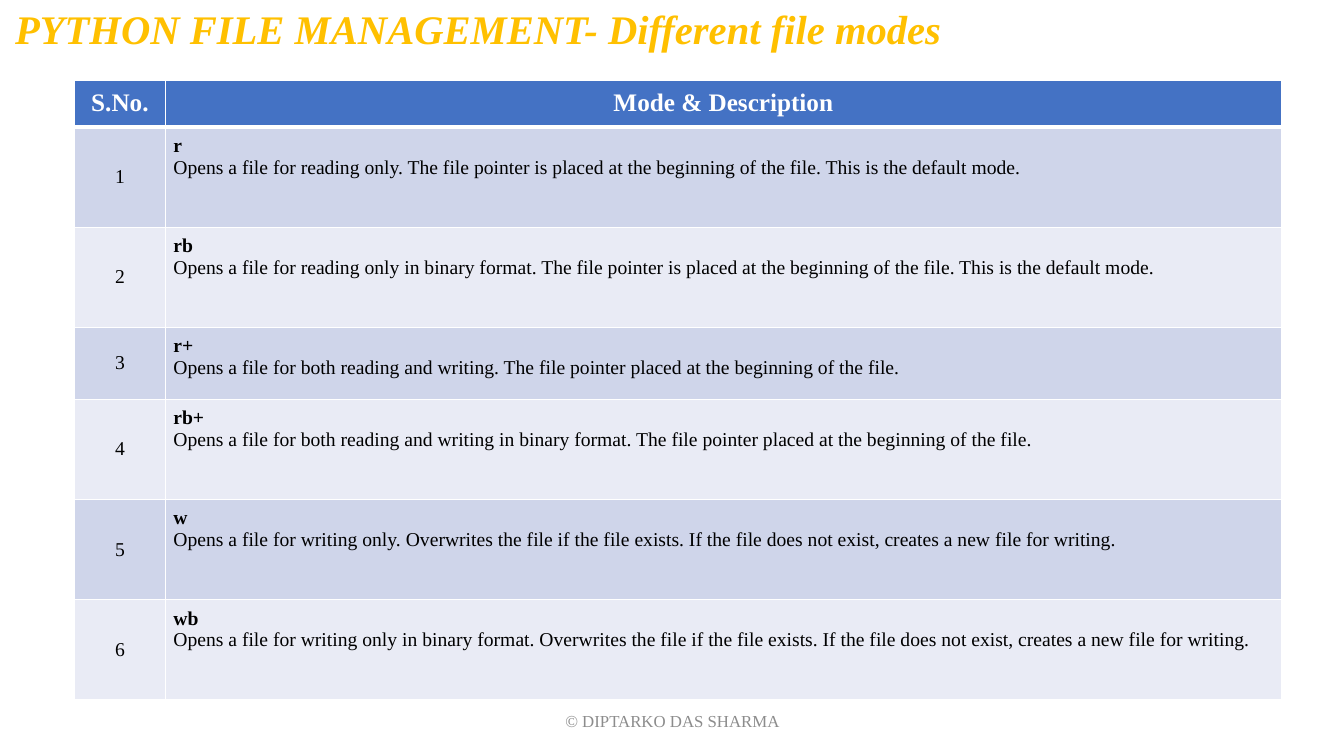
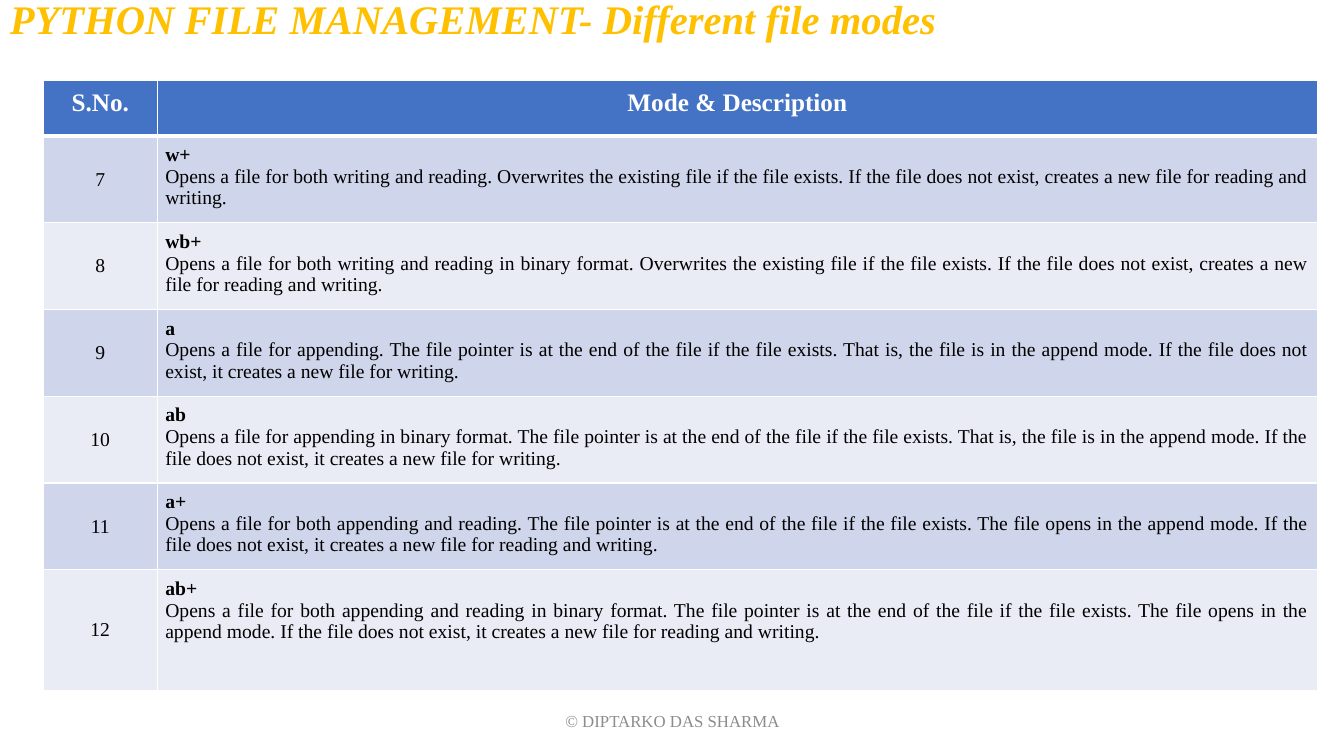
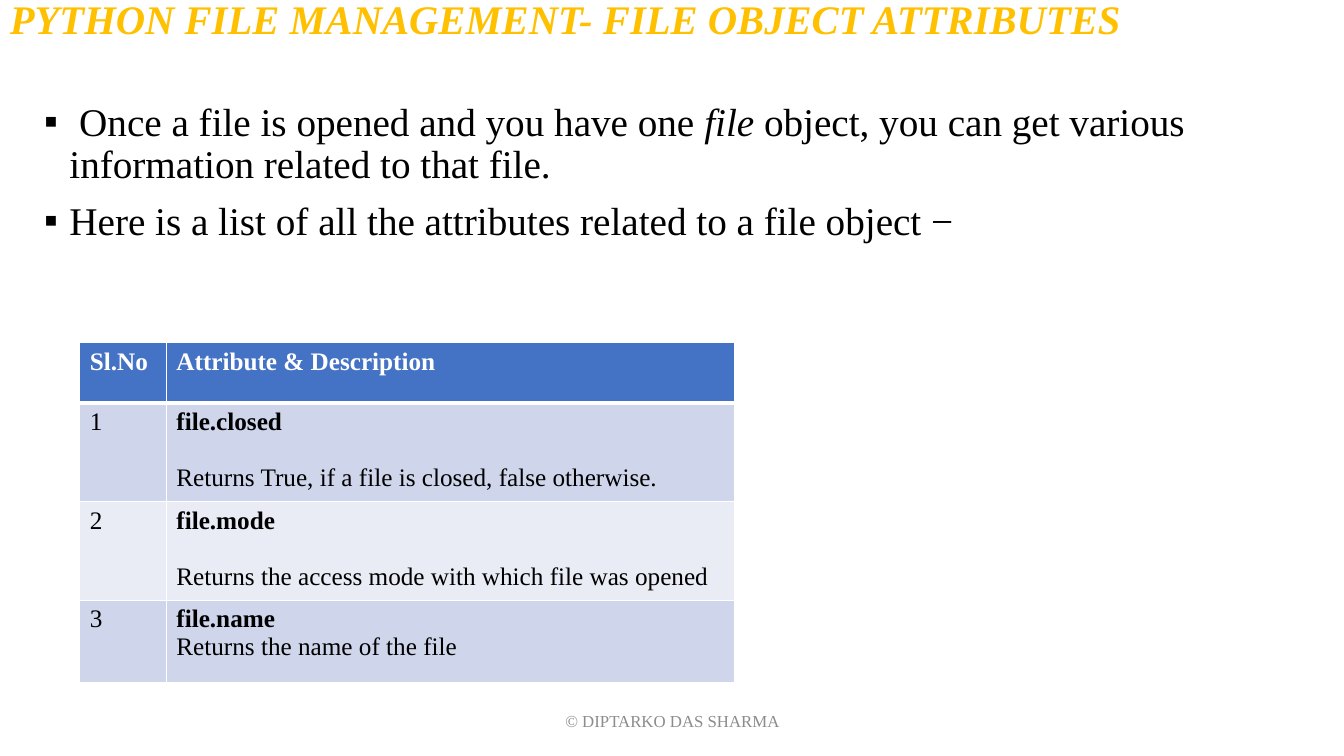
from dataclasses import dataclass

from lxml.etree import SubElement
from pptx import Presentation
from pptx.dml.color import RGBColor
from pptx.enum.text import MSO_ANCHOR, PP_ALIGN
from pptx.oxml.ns import qn
from pptx.util import Inches, Pt


@dataclass(frozen=True)
class Theme:
    font: str = "Times New Roman"
    gold: str = "FFC000"
    blue: str = "4472C4"
    bands: tuple = ("CFD5EA", "E9EBF5")
    white: str = "FFFFFF"
    black: str = "000000"
    grey: str = "8C8C8C"
    title: int = 29
    bullet: int = 28
    heading: int = 18
    mode: int = 14
    attribute: int = 18
    footer: int = 12
    rule: int = 1
    heading_rule: int = 3


@dataclass(frozen=True)
class TableLook:
    size: int
    inset_x: float
    inset_y: float
    heading_align: PP_ALIGN
    number_align: PP_ALIGN
    number_anchor: MSO_ANCHOR
    text_align: PP_ALIGN


THEME = Theme()
WIDTH, HEIGHT = Inches(13.33), Inches(7.5)
MODE_LOOK = TableLook(THEME.mode, 0.08, 0.08, PP_ALIGN.CENTER, PP_ALIGN.CENTER,
                      MSO_ANCHOR.MIDDLE, PP_ALIGN.JUSTIFY)
ATTRIBUTE_LOOK = TableLook(THEME.attribute, 0.1, 0.05, PP_ALIGN.LEFT, PP_ALIGN.LEFT,
                           MSO_ANCHOR.TOP, PP_ALIGN.LEFT)

MODES_TITLE = "PYTHON FILE MANAGEMENT- Different file modes"
MODES_HEADINGS = ("S.No.", "Mode & Description")
TOP_TITLE = (0, 0, 89.2, 5.73)

READ_WRITE_MODES = [
    ("r", "Opens a file for reading only. The file pointer is placed at the beginning of the file. "
          "This is the default mode."),
    ("rb", "Opens a file for reading only in binary format. The file pointer is placed at the "
           "beginning of the file. This is the default mode."),
    ("r+", "Opens a file for both reading and writing. The file pointer placed at the beginning "
           "of the file."),
    ("rb+", "Opens a file for both reading and writing in binary format. The file pointer placed "
            "at the beginning of the file."),
    ("w", "Opens a file for writing only. Overwrites the file if the file exists. If the file "
          "does not exist, creates a new file for writing."),
    ("wb", "Opens a file for writing only in binary format. Overwrites the file if the file "
           "exists. If the file does not exist, creates a new file for writing."),
]
APPEND_MODES = [
    ("w+", "Opens a file for both writing and reading. Overwrites the existing file if the file "
           "exists. If the file does not exist, creates a new file for reading and writing."),
    ("wb+", "Opens a file for both writing and reading in binary format. Overwrites the existing "
            "file if the file exists. If the file does not exist, creates a new file for reading "
            "and writing."),
    ("a", "Opens a file for appending. The file pointer is at the end of the file if the file "
          "exists. That is, the file is in the append mode. If the file does not exist, it "
          "creates a new file for writing."),
    ("ab", "Opens a file for appending in binary format. The file pointer is at the end of the "
           "file if the file exists. That is, the file is in the append mode. If the file does "
           "not exist, it creates a new file for writing."),
    ("a+", "Opens a file for both appending and reading. The file pointer is at the end of the "
           "file if the file exists. The file opens in the append mode. If the file does not "
           "exist, it creates a new file for reading and writing."),
    ("ab+", "Opens a file for both appending and reading in binary format. The file pointer is at "
            "the end of the file if the file exists. The file opens in the append mode. If the "
            "file does not exist, it creates a new file for reading and writing."),
]
ATTRIBUTES = [
    ("file.closed", "Returns True, if a file is closed, false otherwise."),
    ("file.mode", "Returns the access mode with which file was opened"),
    ("file.name", "Returns the name of the file"),
]
INTRODUCTION = [
    [(" Once a file is opened and you have one ", False), ("file", True),
     (" object, you can get various information related to that file.", False)],
    [("Here is a list of all the attributes related to a file object −", False)],
]


def across(percent):
    return int(WIDTH * percent / 100)


def down(percent):
    return int(HEIGHT * percent / 100)


def place(left, top, width, height):
    return across(left), down(top), across(width), down(height)


def style(paragraph, size, color, bold=False, italic=None, align=PP_ALIGN.LEFT):
    paragraph.alignment = align
    font = paragraph.font
    font.name, font.size, font.bold, font.italic = THEME.font, Pt(size), bold, italic
    font.color.rgb = RGBColor.from_string(color)


def add_text_frame(slide, area, anchor):
    frame = slide.shapes.add_textbox(*place(*area)).text_frame
    frame.word_wrap = True
    frame.vertical_anchor = anchor
    return frame


def add_title(slide, text, area):
    title = add_text_frame(slide, area, MSO_ANCHOR.MIDDLE).paragraphs[0]
    title.text = text
    title.line_spacing = 0.9
    style(title, THEME.title, THEME.gold, bold=True, italic=True)


def add_footer(slide):
    footer = add_text_frame(slide, (33.16, 92.67, 33.76, 5.33), MSO_ANCHOR.MIDDLE).paragraphs[0]
    footer.text = "© DIPTARKO DAS SHARMA"
    style(footer, THEME.footer, THEME.grey, align=PP_ALIGN.CENTER)


def add_bullet_mark(paragraph):
    properties = paragraph._p.get_or_add_pPr()
    properties.set("marL", str(Inches(0.25)))
    properties.set("indent", str(-Inches(0.25)))
    SubElement(properties, qn("a:buFont"), typeface=THEME.font)
    SubElement(properties, qn("a:buChar"), char="▪")


def add_bullets(slide, points, area):
    frame = add_text_frame(slide, area, MSO_ANCHOR.TOP)
    for index, parts in enumerate(points):
        point = frame.paragraphs[0] if index == 0 else frame.add_paragraph()
        point.line_spacing = 0.9
        point.space_before = Pt(10)
        add_bullet_mark(point)
        style(point, THEME.bullet, THEME.black)
        for text, italic in parts:
            run = point.add_run()
            run.text = text
            run.font.italic = italic


def draw_borders(cell, top, bottom):
    properties = cell._tc.get_or_add_tcPr()
    edges = {"a:lnL": THEME.rule, "a:lnR": THEME.rule, "a:lnT": top, "a:lnB": bottom}
    for edge, width in edges.items():
        line = SubElement(properties, qn(edge), w=str(Pt(width)))
        SubElement(SubElement(line, qn("a:solidFill")), qn("a:srgbClr"), val=THEME.white)


def prepare_cell(cell, row, look):
    draw_borders(cell,
                 THEME.heading_rule if row == 1 else THEME.rule,
                 THEME.heading_rule if row == 0 else THEME.rule)
    cell.fill.solid()
    fill = THEME.blue if row == 0 else THEME.bands[(row - 1) % 2]
    cell.fill.fore_color.rgb = RGBColor.from_string(fill)
    cell.margin_left = cell.margin_right = Inches(look.inset_x)
    cell.margin_top = cell.margin_bottom = Inches(look.inset_y)
    return cell


def fill_entry(cells, number, name, description, look, gap):
    number_cell, entry_cell = cells
    number_cell.vertical_anchor = look.number_anchor
    number_cell.text = str(number)
    style(number_cell.text_frame.paragraphs[0], look.size, THEME.black, align=look.number_align)
    entry_cell.text = f"{name}\n{description}"
    name_line, description_line = entry_cell.text_frame.paragraphs
    style(name_line, look.size, THEME.black, bold=True, align=look.text_align)
    style(description_line, look.size, THEME.black, align=look.text_align)
    description_line.space_before = Pt(gap)


def add_listing(slide, headings, entries, corner, columns, rows, look, first=1, gaps=None):
    area = (*corner, sum(columns), sum(rows))
    table = slide.shapes.add_table(len(rows), len(columns), *place(*area)).table
    for column, width in zip(table.columns, columns):
        column.width = across(width)
    for row, height in zip(table.rows, rows):
        row.height = down(height)
    grid = [[prepare_cell(table.cell(row, column), row, look) for column in range(len(columns))]
            for row in range(len(rows))]
    for cell, heading in zip(grid[0], headings):
        cell.text = heading
        style(cell.text_frame.paragraphs[0], THEME.heading, THEME.white, bold=True,
              align=look.heading_align)
    gaps = gaps or [0] * len(entries)
    for index, ((name, description), gap) in enumerate(zip(entries, gaps)):
        fill_entry(grid[index + 1], first + index, name, description, look, gap)


def add_slide(deck, title, title_area):
    slide = deck.slides.add_slide(deck.slide_layouts[6])
    add_title(slide, title, title_area)
    add_footer(slide)
    return slide


def main():
    deck = Presentation()
    deck.slide_width, deck.slide_height = WIDTH, HEIGHT

    read_write = add_slide(deck, MODES_TITLE, (0.38, 0.53, 77.65, 7.2))
    add_listing(read_write, MODES_HEADINGS, READ_WRITE_MODES, (5.55, 10.67), (6.75, 83.05),
                [5.87] + [13.25] * 2 + [9.5] + [13.25] * 3, MODE_LOOK)

    append = add_slide(deck, MODES_TITLE, TOP_TITLE)
    add_listing(append, MODES_HEADINGS, APPEND_MODES, (3.22, 10.67), (8.48, 86.33),
                [7.33] + [11.35] * 5 + [16], MODE_LOOK, first=len(READ_WRITE_MODES) + 1)

    attributes = add_slide(deck, "PYTHON FILE MANAGEMENT- FILE OBJECT ATTRIBUTES", TOP_TITLE)
    add_bullets(attributes, INTRODUCTION, (2.55, 12.93, 92.95, 79.47))
    add_listing(attributes, ("Sl.No", "Attribute & Description"), ATTRIBUTES, (5.93, 45.33),
                (6.45, 42.3), [8, 12.4, 12.4, 10.93], ATTRIBUTE_LOOK, gaps=(20, 20, 0))

    deck.save("out.pptx")


if __name__ == "__main__":
    main()
